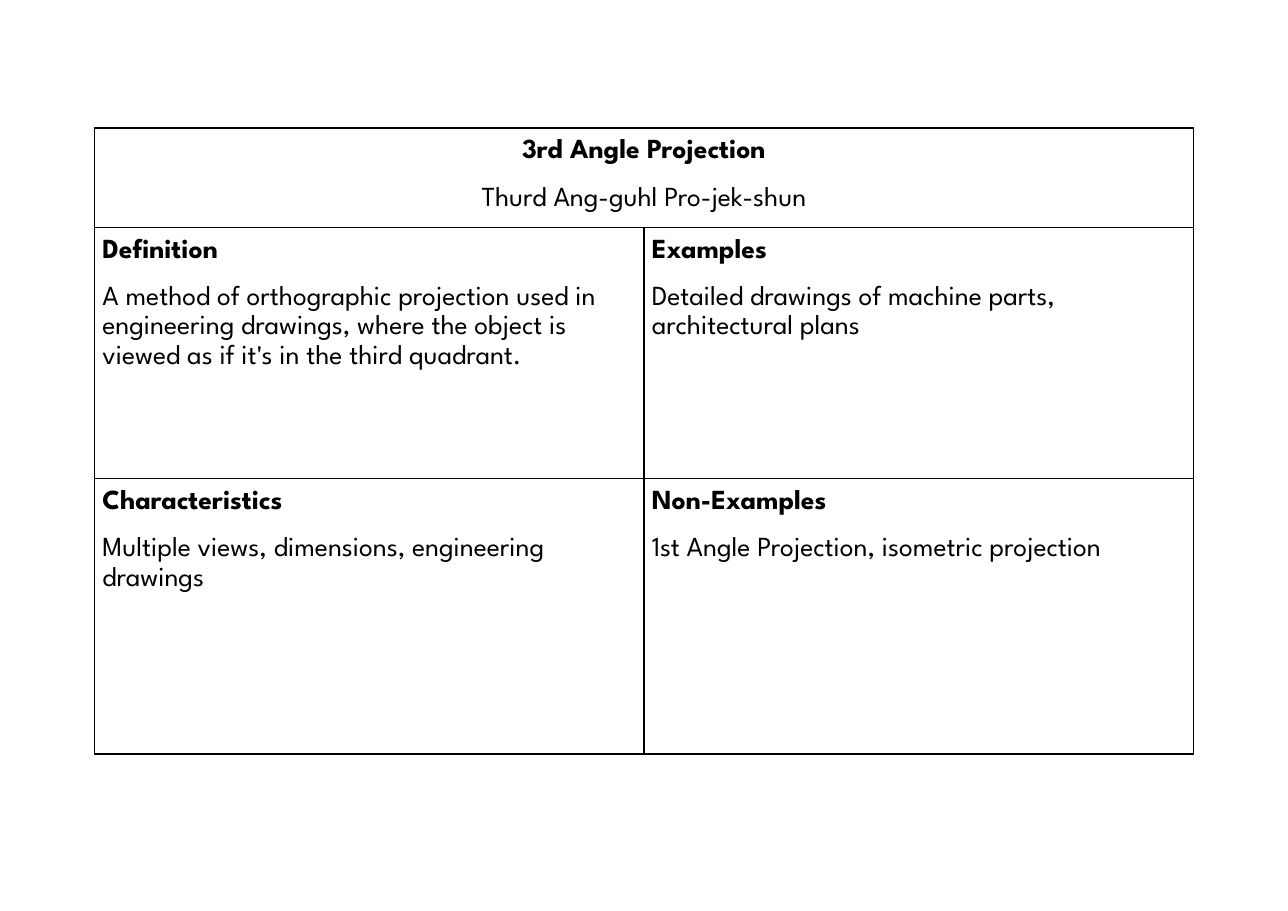
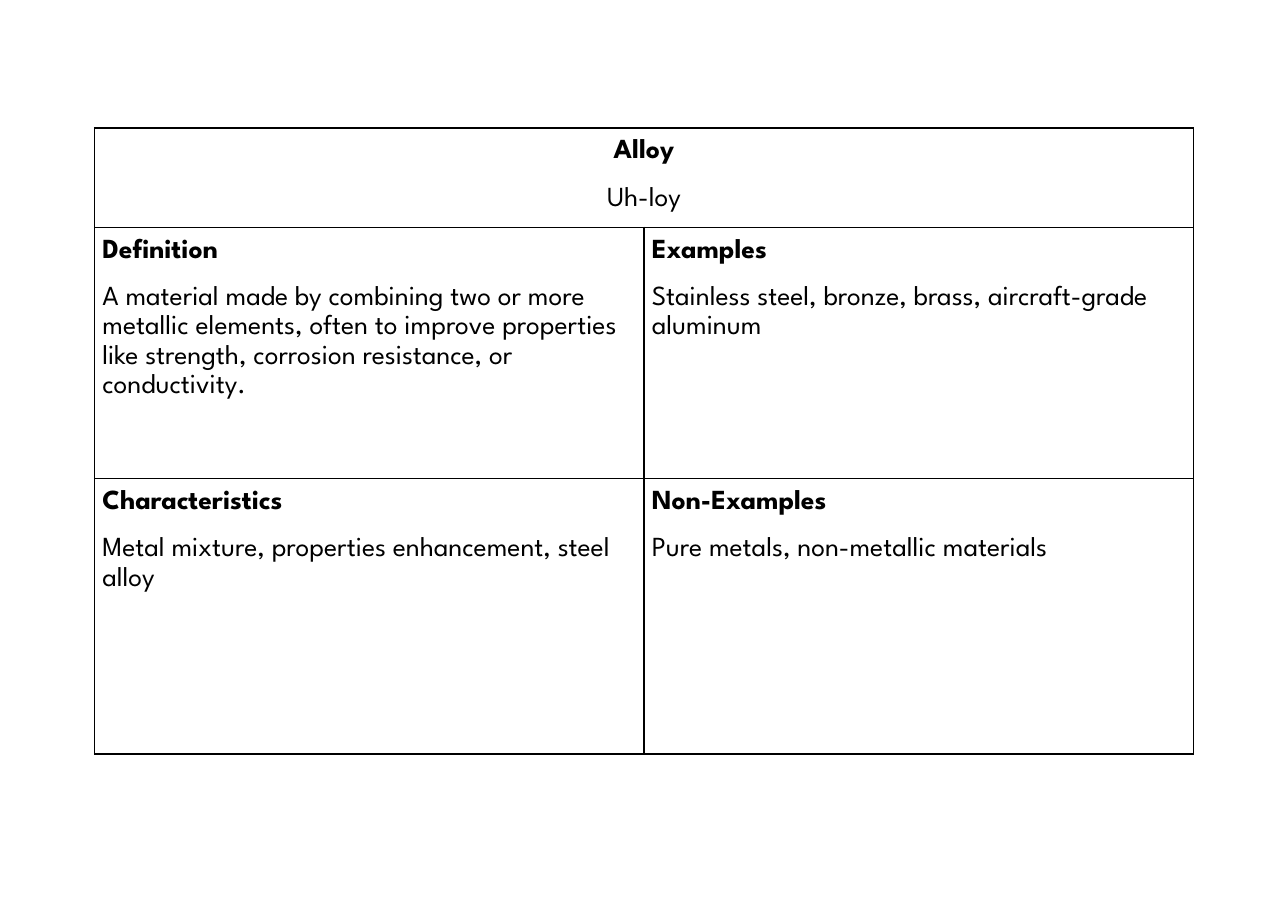
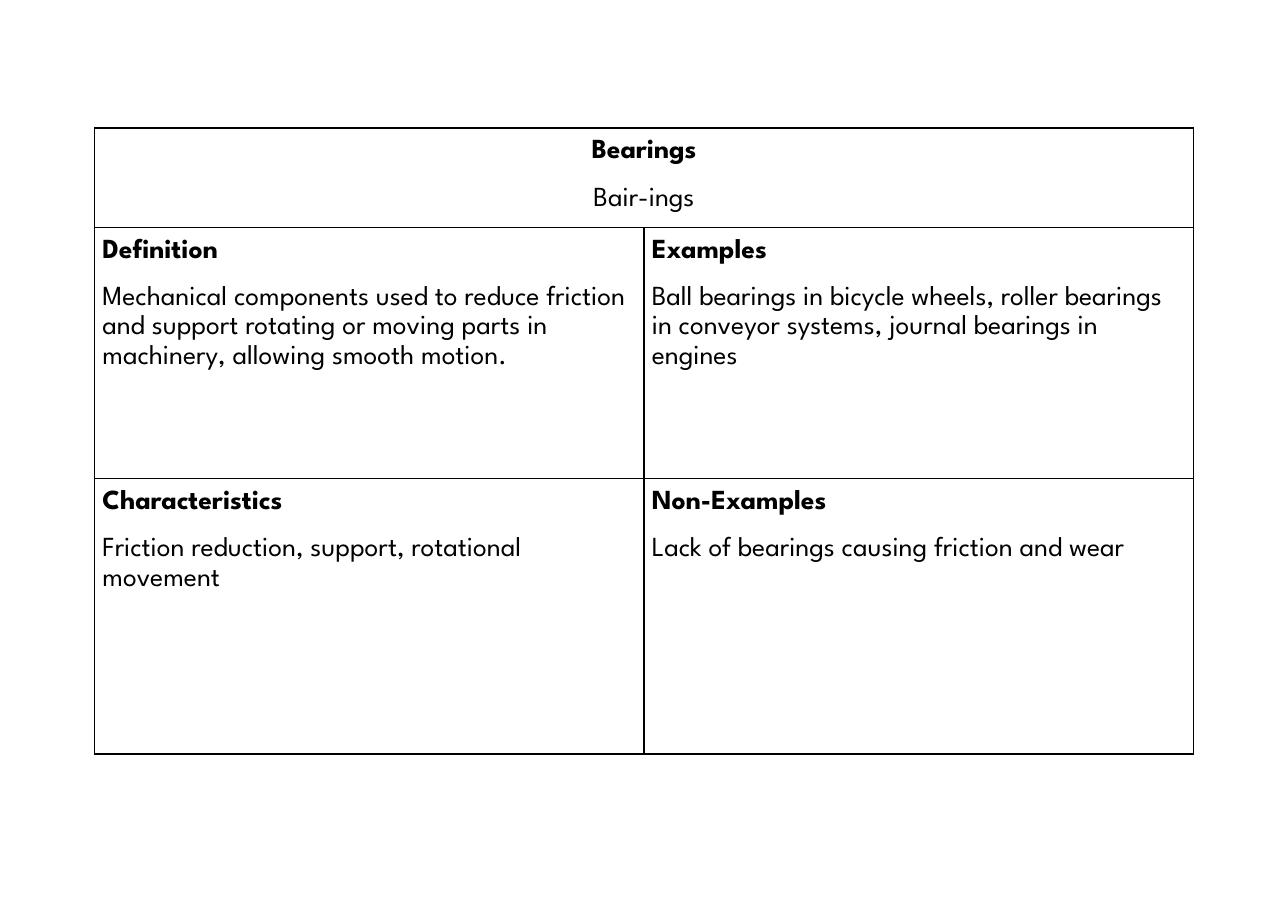
from lxml.etree import SubElement
from pptx import Presentation
from pptx.dml.color import RGBColor
from pptx.enum.text import MSO_ANCHOR as Anchor, PP_ALIGN as Align
from pptx.oxml.ns import qn
from pptx.util import Cm, Pt

# Content: term, pronunciation, then the text under each heading
HEADINGS = ("Definition", "Examples", "Characteristics", "Non-Examples")
CARDS = [
    ("3rd Angle Projection", "Thurd Ang-guhl Pro-jek-shun", (
        "A method of orthographic projection used in engineering drawings, "
        "where the object is viewed as if it's in the third quadrant.",
        "Detailed drawings of machine parts, architectural plans",
        "Multiple views, dimensions, engineering drawings",
        "1st Angle Projection, isometric projection")),
    ("Alloy", "Uh-loy", (
        "A material made by combining two or more metallic elements, often to "
        "improve properties like strength, corrosion resistance, or conductivity.",
        "Stainless steel, bronze, brass, aircraft-grade aluminum",
        "Metal mixture, properties enhancement, steel alloy",
        "Pure metals, non-metallic materials")),
    ("Bearings", "Bair-ings", (
        "Mechanical components used to reduce friction and support rotating "
        "or moving parts in machinery, allowing smooth motion.",
        "Ball bearings in bicycle wheels, roller bearings in conveyor systems, "
        "journal bearings in engines",
        "Friction reduction, support, rotational movement",
        "Lack of bearings causing friction and wear")),
]

# Shared style and layout
INK = "000000"
FONT = {"name": "League Spartan", "size": Pt(18)}
BORDER = Pt(1)
SLIDE_SIZE = (29.7, 21)
LEFT, TOP = 2.18, 2.95
COLUMN_WIDTHS = (12.67, 12.67)
ROW_HEIGHTS = (2.29, 5.79, 6.35)
CELL_FORMAT = {"vertical_anchor": Anchor.TOP}
CELL_FORMAT |= {f"margin_{side}": Cm(0.18) for side in ("left", "right", "top", "bottom")}


def color(value):
    return RGBColor.from_string(value)


def set_attributes(target, values):
    for name, value in values.items():
        setattr(target, name, value)


def style_cell(cell):
    set_attributes(cell, CELL_FORMAT)
    properties = cell._tc.get_or_add_tcPr()
    for edge in ("lnL", "lnR", "lnT", "lnB"):
        line = SubElement(properties, qn(f"a:{edge}"), w=str(BORDER))
        fill = SubElement(line, qn("a:solidFill"))
        SubElement(fill, qn("a:srgbClr"), val=INK)
    cell.fill.background()


def write_cell(cell, heading, body, heading_format, body_format):
    frame = cell.text_frame
    frame.word_wrap = True
    parts = ((frame.paragraphs[0], heading, True, heading_format),
             (frame.add_paragraph(), body, False, body_format))
    for paragraph, text, bold, paragraph_format in parts:
        set_attributes(paragraph, {"line_spacing": 1.15, **paragraph_format})
        run = paragraph.add_run()
        run.text = text
        set_attributes(run.font, {**FONT, "bold": bold})
        run.font.color.rgb = color(INK)


def add_card(presentation, term, pronunciation, texts):
    slide = presentation.slides.add_slide(presentation.slide_layouts[6])
    table = slide.shapes.add_table(
        len(ROW_HEIGHTS), len(COLUMN_WIDTHS), Cm(LEFT), Cm(TOP),
        Cm(sum(COLUMN_WIDTHS)), Cm(sum(ROW_HEIGHTS))).table
    set_attributes(table, {"first_row": False, "horz_banding": False})
    for column, width in zip(table.columns, COLUMN_WIDTHS):
        column.width = Cm(width)
    for row, height in zip(table.rows, ROW_HEIGHTS):
        row.height = Cm(height)
    for cell in table.iter_cells():
        style_cell(cell)

    # Term across the top
    title = table.cell(0, 0)
    title.merge(table.cell(0, len(COLUMN_WIDTHS) - 1))
    centered = {"alignment": Align.CENTER}
    gap = {"space_before": Pt(12)}
    write_cell(title, term, pronunciation, centered,
               {**centered, **gap, "space_after": Pt(12)})

    # Four quadrants below
    for index, (heading, text) in enumerate(zip(HEADINGS, texts)):
        row, column = divmod(index, len(COLUMN_WIDTHS))
        write_cell(table.cell(row + 1, column), heading, text, {}, gap)


def main():
    presentation = Presentation()
    presentation.slide_width, presentation.slide_height = map(Cm, SLIDE_SIZE)
    for card in CARDS:
        add_card(presentation, *card)
    presentation.save("out.pptx")


if __name__ == "__main__":
    main()
